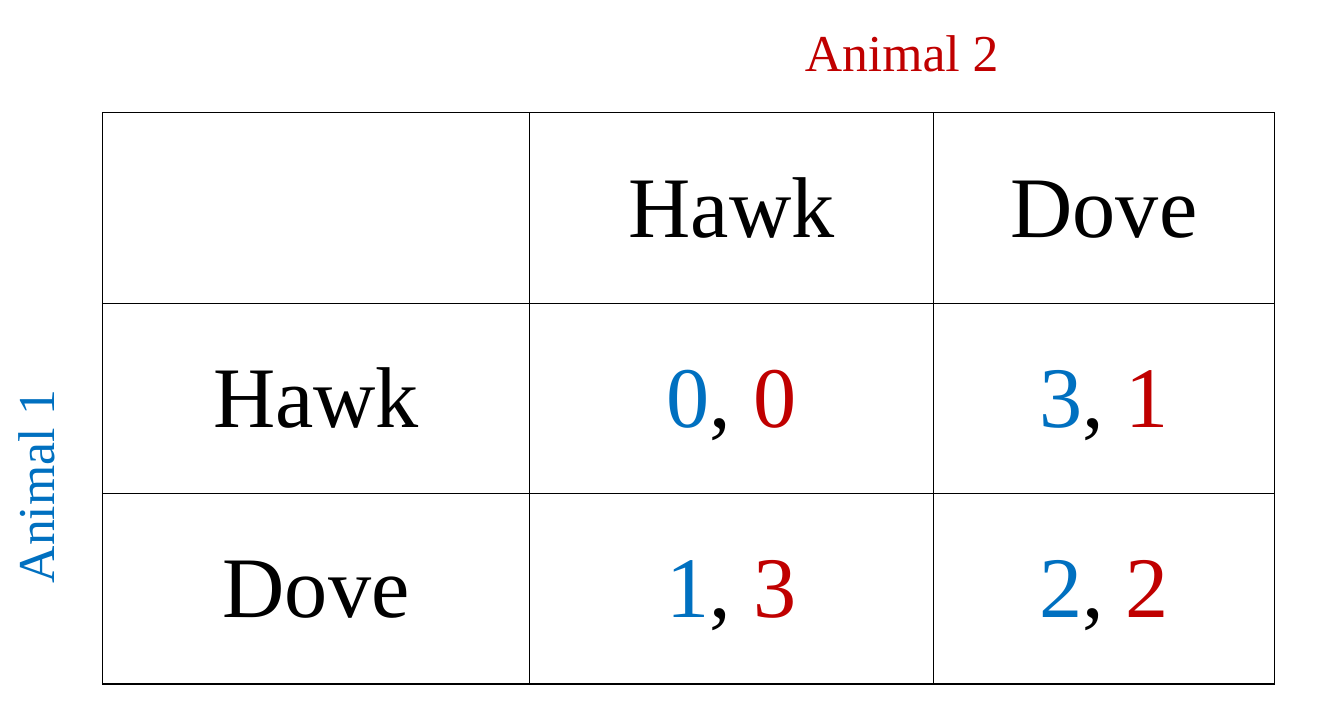
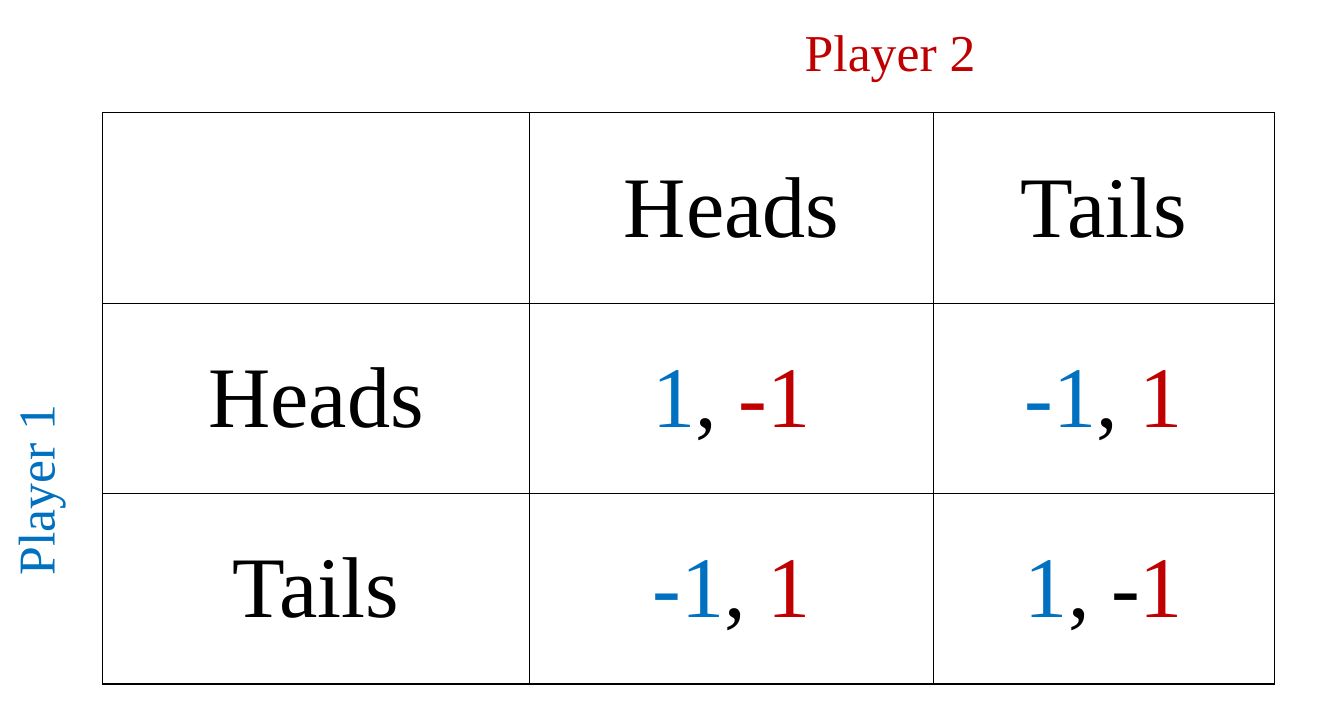
from dataclasses import dataclass

import pptx
import pptx.dml.color
import pptx.enum.text
import pptx.oxml
import pptx.oxml.ns
import pptx.util

PX = 9144  # EMU in one px, 100 px to the inch


@dataclass(frozen=True)
class Theme:
    font: str = "Times New Roman"
    ink: str = "000000"
    row_player: str = "0070C0"
    column_player: str = "C00000"
    payoff_size: int = 60
    label_size: int = 36
    border_width: int = 1


THEME = Theme()
COLUMN_WIDTHS = [413, 390, 330]
ROW_HEIGHT = 184
TABLE_LEFT, TABLE_TOP = 99, 109
LABEL_HEIGHT = 71
COLUMN_LABEL_LEFT, COLUMN_LABEL_TOP = 768, 14
ROW_LABEL_CENTRE, ROW_LABEL_TOP = 33, 432

# Each payoff is split into row player's part, separator and column player's part.
GAMES = [
    {
        "role": "Animal",
        "label_width": 212,
        "moves": ["Hawk", "Dove"],
        "payoffs": [
            [("0", ", ", "0"), ("3", ", ", "1")],
            [("1", ", ", "3"), ("2", ", ", "2")],
        ],
    },
    {
        "role": "Player",
        "label_width": 197,
        "moves": ["Heads", "Tails"],
        "payoffs": [
            [("1", ", ", "-1"), ("-1", ", ", "1")],
            [("-1", ", ", "1"), ("1", ", -", "1")],
        ],
    },
]


def add_run(paragraph, text, size, color):
    run = paragraph.add_run()
    run.text = text
    run.font.name = THEME.font
    run.font.size = pptx.util.Pt(size)
    run.font.color.rgb = pptx.dml.color.RGBColor.from_string(color)


def draw_borders(cell):
    properties = cell._tc.get_or_add_tcPr()
    for side in ("lnL", "lnR", "lnT", "lnB"):
        properties.append(pptx.oxml.parse_xml(
            f'<a:{side} {pptx.oxml.ns.nsdecls("a")} w="{pptx.util.Pt(THEME.border_width)}">'
            f'<a:solidFill><a:srgbClr val="{THEME.ink}"/></a:solidFill></a:{side}>'
        ))


deck = pptx.Presentation()
deck.slide_width = 1299 * PX
deck.slide_height = 689 * PX
blank_layout = deck.slide_layouts[6]

for game in GAMES:
    slide = deck.slides.add_slide(blank_layout)

    header = [[]] + [[(move, THEME.ink)] for move in game["moves"]]
    rows = [header]
    for move, payoffs in zip(game["moves"], game["payoffs"]):
        colors = (THEME.row_player, THEME.ink, THEME.column_player)
        rows.append([[(move, THEME.ink)]] + [list(zip(payoff, colors)) for payoff in payoffs])

    matrix = slide.shapes.add_table(
        len(rows), len(COLUMN_WIDTHS), TABLE_LEFT * PX, TABLE_TOP * PX,
        sum(COLUMN_WIDTHS) * PX, len(rows) * ROW_HEIGHT * PX,
    ).table
    matrix.first_row = False
    matrix.horz_banding = False
    for column, width in zip(matrix.columns, COLUMN_WIDTHS):
        column.width = width * PX
    for row_index, row in enumerate(rows):
        matrix.rows[row_index].height = ROW_HEIGHT * PX
        for column_index, parts in enumerate(row):
            cell = matrix.cell(row_index, column_index)
            draw_borders(cell)
            cell.fill.background()
            cell.vertical_anchor = pptx.enum.text.MSO_ANCHOR.MIDDLE
            paragraph = cell.text_frame.paragraphs[0]
            paragraph.alignment = pptx.enum.text.PP_ALIGN.CENTER
            for text, color in parts:
                add_run(paragraph, text, THEME.payoff_size, color)

    width = game["label_width"]
    for number, left, top, rotation, color in (
        (2, COLUMN_LABEL_LEFT, COLUMN_LABEL_TOP, 0, THEME.column_player),
        (1, ROW_LABEL_CENTRE - width // 2, ROW_LABEL_TOP, 270, THEME.row_player),
    ):
        label = slide.shapes.add_textbox(left * PX, top * PX, width * PX, LABEL_HEIGHT * PX)
        label.rotation = rotation
        label.text_frame.word_wrap = False
        label.text_frame.auto_size = pptx.enum.text.MSO_AUTO_SIZE.SHAPE_TO_FIT_TEXT
        add_run(label.text_frame.paragraphs[0], f"{game['role']} {number}", THEME.label_size, color)

deck.save("out.pptx")
